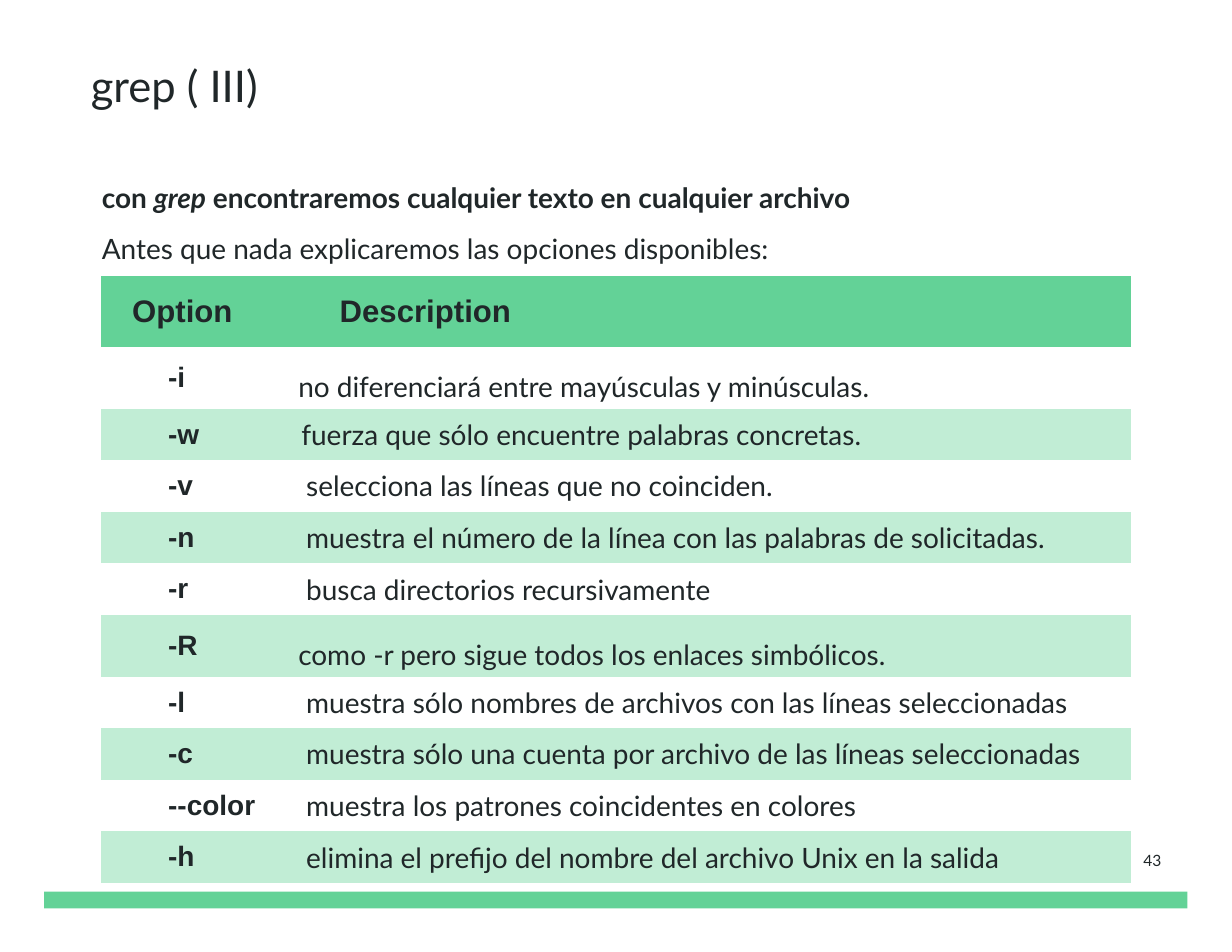
from pptx import Presentation
from pptx.dml.color import RGBColor
from pptx.enum.shapes import MSO_SHAPE as Shape
from pptx.enum.text import MSO_ANCHOR as Anchor, PP_ALIGN as Align
from pptx.oxml.ns import qn
from pptx.util import Cm, Pt

INK = RGBColor(0x20, 0x27, 0x29)
GREEN = RGBColor(0x63, 0xD2, 0x97)
MINT = RGBColor(0xC1, 0xED, 0xD5)
WHITE = RGBColor(0xFF, 0xFF, 0xFF)


def add_span(para, text, size, font="Lato", bold=False, italic=False):
    span = para.add_run()
    span.text = text
    span.font.name = font
    span.font.size = Pt(size)
    span.font.bold = bold
    span.font.italic = italic
    span.font.color.rgb = INK


def add_box(left, top, width, height, anchor, side, edge):
    frame = page.shapes.add_textbox(Cm(left), Cm(top), Cm(width), Cm(height)).text_frame
    frame.word_wrap = True
    frame.vertical_anchor = anchor
    frame.margin_left = frame.margin_right = Cm(side)
    frame.margin_top = frame.margin_bottom = Cm(edge)
    return frame


deck = Presentation()
deck.slide_width = Cm(27.94)
deck.slide_height = Cm(21.59)
page = deck.slides.add_slide(deck.slide_layouts[6])

bar = page.shapes.add_shape(Shape.RECTANGLE, Cm(1), Cm(20.22), Cm(25.93), Cm(0.38))
bar.shadow.inherit = False
bar.fill.solid()
bar.fill.fore_color.rgb = GREEN
bar.line.fill.background()

title = add_box(2.06, 1.09, 24.18, 2.18, Anchor.TOP, 0, 0.25)
add_span(title.paragraphs[0], "grep ( III)", 28)

number = add_box(25.04, 18.77, 1.55, 1.5, Anchor.MIDDLE, 0.25, 0.25)
number.paragraphs[0].alignment = Align.RIGHT
add_span(number.paragraphs[0], "43", 10)

intro = add_box(2.06, 3.66, 24.18, 2.41, Anchor.MIDDLE, 0.25, 0.13)
para = intro.paragraphs[0]
para.line_spacing = 1.5
add_span(para, "con ", 18, bold=True)
add_span(para, "grep", 18, bold=True, italic=True)
add_span(para, " encontraremos cualquier texto en cualquier archivo", 18, bold=True)
para = intro.add_paragraph()
para.line_spacing = 1.5
add_span(para, "Antes que nada explicaremos las opciones disponibles:", 18)

options = [
    ("-i", "no diferenciará entre mayúsculas y minúsculas.", 0.33, 1.5),
    ("-w", "fuerza que sólo encuentre palabras concretas.", 0.4, 1),
    ("-v", "selecciona las líneas que no coinciden.", 0.51, 1),
    ("-n", "muestra el número de la línea con las palabras de solicitadas.", 0.51, 1),
    ("-r", "busca directorios recursivamente", 0.51, 1),
    ("-R", "como -r pero sigue todos los enlaces simbólicos.", 0.33, 1.5),
    ("-l", "muestra sólo nombres de archivos con las líneas seleccionadas", 0.51, 1),
    ("-c", "muestra sólo una cuenta por archivo de las líneas seleccionadas", 0.51, 1),
    ("--color", "muestra los patrones coincidentes en colores", 0.51, 1),
    ("-h", "elimina el prefijo del nombre del archivo Unix en la salida", 0.51, 1),
]

holder = page.shapes.add_table(len(options) + 1, 2, Cm(2.29), Cm(6.27), Cm(23.35), Cm(13.3))
table = holder.table
table.horz_banding = False
style = holder._element.find(".//" + qn("a:tableStyleId"))
style.text = "{2D5ABB26-0587-4C30-8999-92F81FD0307C}"
table.columns[0].width = Cm(3.89)
table.columns[1].width = Cm(19.46)
for index, row in enumerate(table.rows):
    row.height = Cm(1.17 if index else 1.6)
    for cell in row.cells:
        cell.vertical_anchor = Anchor.MIDDLE
        cell.fill.solid()
        cell.fill.fore_color.rgb = (WHITE if index % 2 else MINT) if index else GREEN

para = table.cell(0, 0).text_frame.paragraphs[0]
para.alignment = Align.CENTER
add_span(para, "Option ", 20, "Arial", True)
para = table.cell(0, 1).text_frame.paragraphs[0]
para._p.get_or_add_pPr().set("marL", str(Cm(1.27)))
add_span(para, "Description", 20, "Arial", True)

for index, (option, description, indent, spacing) in enumerate(options, 1):
    para = table.cell(index, 0).text_frame.paragraphs[0]
    para._p.get_or_add_pPr().set("marL", str(Cm(1.27)))
    add_span(para, option, 18, "Arial", True)
    para = table.cell(index, 1).text_frame.paragraphs[0]
    para._p.get_or_add_pPr().set("marL", str(Cm(indent)))
    para.line_spacing = float(spacing)
    add_span(para, description, 18)

deck.save("out.pptx")
